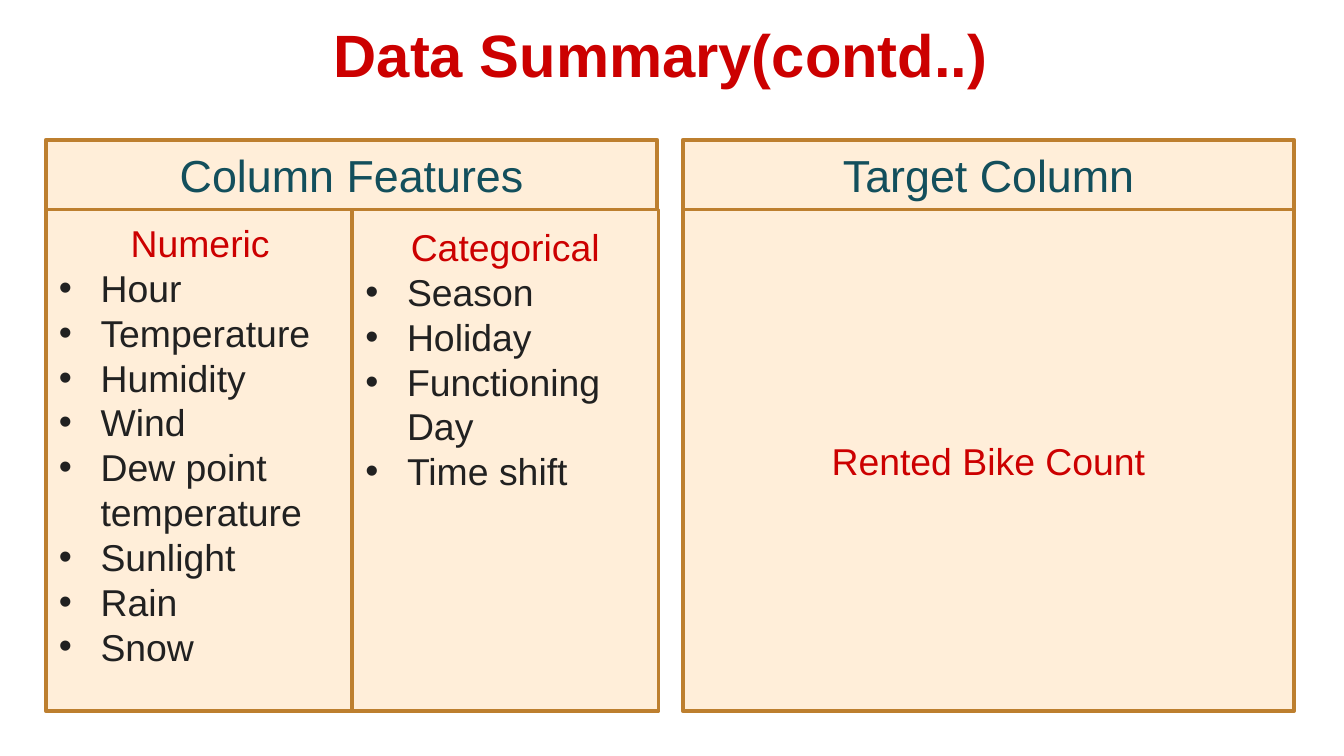
from lxml.etree import SubElement
from pptx import Presentation
from pptx.dml.color import RGBColor as RGB
from pptx.enum.shapes import MSO_SHAPE as Shape
from pptx.enum.text import MSO_ANCHOR as Anchor, PP_ALIGN as Align
from pptx.oxml.ns import qn
from pptx.util import Inches, Pt

TITLE = "Data Summary(contd..) "
FEATURES = "Column Features"
TARGET = "Target Column"
TARGET_NAME = "Rented Bike Count"
NUMERIC = ("Numeric", ["Hour", "Temperature", "Humidity", "Wind",
                       "Dew point temperature", "Sunlight", "Rain", "Snow"])
CATEGORICAL = ("Categorical", ["Season", "Holiday", "Functioning Day", "Time shift"])

THEME = {
    "font": "Arial", "red": "CC0000", "teal": "134F5C", "ink": "212121",
    "panel": "FFEED9", "border": "BD7F2F",
    "title": 32, "heading": 24, "body": 20, "leading": 24, "line": 2,
}

LEFT, RIGHT, PANEL_W = 0.34, 5.08, 4.55
HEAD_TOP, HEAD_H, BODY_H = 1.04, 0.52, 3.73
BODY_TOP = HEAD_TOP + HEAD_H
NUMERIC_W = 2.3
CATEGORICAL_LEFT, CATEGORICAL_W = 2.62, 2.28
INDENT = 0.31


def add_run(paragraph, words, size, color, bold=False):
    """Append one styled run to a paragraph."""
    run = paragraph.add_run()
    run.text = words
    run.font.name = THEME["font"]
    run.font.size = Pt(THEME[size])
    run.font.bold = bold
    run.font.color.rgb = RGB.from_string(THEME[color])


def add_panel(slide, left, top, width, height):
    """Draw a bordered panel and return its text frame."""
    panel = slide.shapes.add_shape(
        Shape.RECTANGLE, Inches(left), Inches(top), Inches(width), Inches(height))
    panel.shadow.inherit = False
    panel.fill.solid()
    panel.fill.fore_color.rgb = RGB.from_string(THEME["panel"])
    panel.line.color.rgb = RGB.from_string(THEME["border"])
    panel.line.width = Pt(THEME["line"])
    frame = panel.text_frame
    frame.word_wrap = True
    frame.vertical_anchor = Anchor.MIDDLE
    return frame


def add_label(frame, words, size, color, bold=False):
    """Write a centred first paragraph."""
    label = frame.paragraphs[0]
    label.alignment = Align.CENTER
    add_run(label, words, size, color, bold)
    return label


def add_bullet(paragraph):
    """Give a paragraph a hanging round bullet."""
    props = paragraph._p.get_or_add_pPr()
    props.set("marL", str(Inches(INDENT)))
    props.set("indent", str(-Inches(INDENT)))
    color = SubElement(props, qn("a:buClr"))
    SubElement(color, qn("a:srgbClr"), val=THEME["ink"])
    SubElement(props, qn("a:buFont"), typeface=THEME["font"])
    SubElement(props, qn("a:buChar"), char="•")


def add_feature_list(slide, group, left, width, inset):
    """Fill a panel with a heading and its bulleted features."""
    heading, features = group
    frame = add_panel(slide, left, BODY_TOP, width, BODY_H)
    frame.vertical_anchor = Anchor.TOP
    frame.margin_top = Inches(inset)
    add_label(frame, heading, "body", "red").line_spacing = Pt(THEME["leading"])
    for feature in features:
        item = frame.add_paragraph()
        item.alignment = Align.LEFT
        item.line_spacing = Pt(THEME["leading"])
        add_bullet(item)
        add_run(item, feature, "body", "ink")


def main():
    """Build the data summary slide."""
    deck = Presentation()
    deck.slide_width = Inches(10)
    deck.slide_height = deck.slide_width * 9 // 16
    slide = deck.slides.add_slide(deck.slide_layouts[6])

    title = slide.shapes.add_textbox(
        Inches(0.32), Inches(0.03), Inches(9.32), Inches(0.63)).text_frame
    title.word_wrap = True
    title.margin_top = Inches(0.1)
    add_label(title, TITLE, "title", "red", bold=True)

    add_label(add_panel(slide, LEFT, HEAD_TOP, PANEL_W, HEAD_H),
              FEATURES, "heading", "teal")
    add_feature_list(slide, NUMERIC, LEFT, NUMERIC_W, 0.08)
    add_feature_list(slide, CATEGORICAL, CATEGORICAL_LEFT, CATEGORICAL_W, 0.11)
    add_label(add_panel(slide, RIGHT, HEAD_TOP, PANEL_W, HEAD_H),
              TARGET, "heading", "teal")
    add_label(add_panel(slide, RIGHT, BODY_TOP, PANEL_W, BODY_H),
              TARGET_NAME, "body", "red")

    deck.save("out.pptx")


if __name__ == "__main__":
    main()
